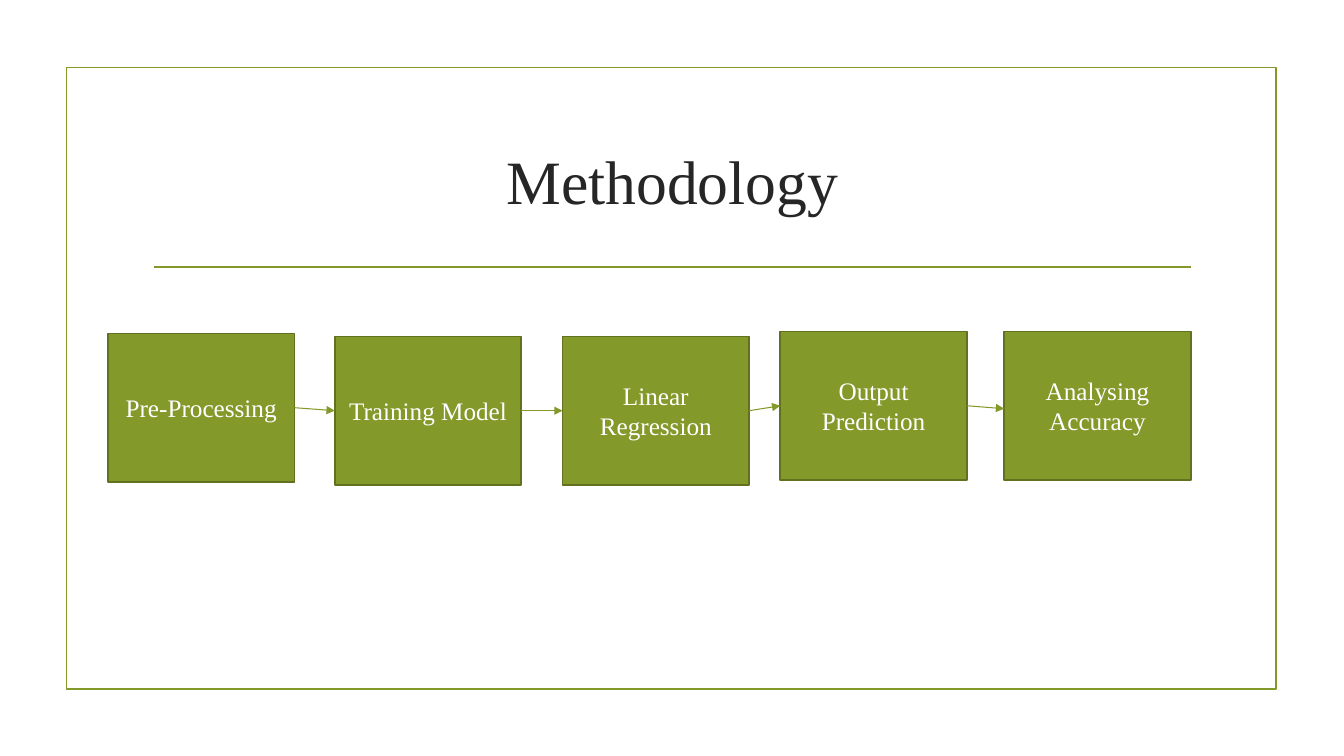
from dataclasses import dataclass
from itertools import pairwise

from lxml.etree import SubElement
from pptx import Presentation
from pptx.dml.color import RGBColor
from pptx.enum.shapes import MSO_CONNECTOR as Connector, MSO_SHAPE as Preset
from pptx.enum.text import MSO_ANCHOR as Anchor, PP_ALIGN as Align
from pptx.oxml.ns import qn
from pptx.shapes.autoshape import Shape
from pptx.shapes.connector import Connector as Line
from pptx.slide import Slide
from pptx.util import Inches, Pt

SLIDE_WIDTH = Inches(13.33)
SLIDE_HEIGHT = Inches(7.5)
FONT = "Times New Roman"
OLIVE = RGBColor(0x83, 0x99, 0x2A)
DARK_OLIVE = RGBColor(0x61, 0x71, 0x1F)
CHARCOAL = RGBColor(0x26, 0x26, 0x26)
WHITE = RGBColor(0xFF, 0xFF, 0xFF)
LEFT_SITE, RIGHT_SITE = 1, 3
MIDDLE = 0.5


@dataclass(frozen=True)
class Area:
    """Percentages of the slide's width and height."""

    left: float
    top: float
    width: float
    height: float

    def lengths(self) -> tuple[int, int, int, int]:
        return across(self.left), down(self.top), across(self.width), down(self.height)


@dataclass(frozen=True)
class Step:
    label: str
    left: float
    top: float
    arrow_entry: float = MIDDLE

    def area(self) -> Area:
        return Area(self.left, self.top, STEP_WIDTH, STEP_HEIGHT)


STEP_WIDTH, STEP_HEIGHT = 13.88, 19.6
FRAME = Area(4.95, 8.93, 90.02, 82.27)
TITLE = Area(10.65, 14.27, 78.77, 19.07)
RULE_LEFT, RULE_RIGHT, RULE_TOP = 11.48, 88.6, 35.33
STEPS = (
    Step("Pre-Processing", 8.03, 44.13),
    Step("Training Model", 24.91, 44.53),
    Step("Linear Regression", 41.86, 44.53),
    Step("Output Prediction", 58.06, 43.87),
    Step("Analysing Accuracy", 74.72, 43.87, arrow_entry=0.52),
)


def across(percent: float) -> int:
    return round(SLIDE_WIDTH * percent / 100)


def down(percent: float) -> int:
    return round(SLIDE_HEIGHT * percent / 100)


def write_centred(shape: Shape, text: str, size: float, color: RGBColor) -> None:
    frame = shape.text_frame
    frame.word_wrap = True
    frame.vertical_anchor = Anchor.MIDDLE
    paragraph = frame.paragraphs[0]
    paragraph.text = text
    paragraph.alignment = Align.CENTER
    paragraph.font.name = FONT
    paragraph.font.size = Pt(size)
    paragraph.font.color.rgb = color


def add_rectangle(slide: Slide, area: Area, outline: RGBColor) -> Shape:
    rectangle = slide.shapes.add_shape(Preset.RECTANGLE, *area.lengths())
    rectangle.shadow.inherit = False
    rectangle.line.color.rgb = outline
    rectangle.line.width = Pt(1.25)
    return rectangle


def add_line(slide: Slide, start: tuple[int, int], end: tuple[int, int], width: float) -> Line:
    line = slide.shapes.add_connector(Connector.STRAIGHT, *start, *end)
    line.line.color.rgb = OLIVE
    line.line.width = Pt(width)
    SubElement(line.element.spPr, qn("a:effectLst"))
    return line


def add_step(slide: Slide, step: Step) -> Shape:
    box = add_rectangle(slide, step.area(), DARK_OLIVE)
    box.fill.solid()
    box.fill.fore_color.rgb = OLIVE
    write_centred(box, step.label, 18, WHITE)
    return box


def add_arrow(slide: Slide, source: Shape, target: Shape, entry: float) -> None:
    start = (source.left + source.width, source.top + source.height // 2)
    end = (target.left, target.top + round(target.height * entry))
    arrow = add_line(slide, start, end, 0.75)
    SubElement(arrow.line._get_or_add_ln(), qn("a:tailEnd"), type="triangle")
    arrow.begin_connect(source, RIGHT_SITE)
    if entry == MIDDLE:
        arrow.end_connect(target, LEFT_SITE)


def main() -> None:
    presentation = Presentation()
    presentation.slide_width = SLIDE_WIDTH
    presentation.slide_height = SLIDE_HEIGHT
    slide = presentation.slides.add_slide(presentation.slide_layouts[6])

    add_rectangle(slide, FRAME, OLIVE).fill.background()
    rule_y = down(RULE_TOP)
    add_line(slide, (across(RULE_LEFT), rule_y), (across(RULE_RIGHT), rule_y), 1.25)
    title = slide.shapes.add_textbox(*TITLE.lengths())
    write_centred(title, "Methodology", 44, CHARCOAL)

    boxes = [add_step(slide, step) for step in STEPS]
    for (source, target), step in zip(pairwise(boxes), STEPS[1:]):
        add_arrow(slide, source, target, step.arrow_entry)

    presentation.save("out.pptx")


if __name__ == "__main__":
    main()
